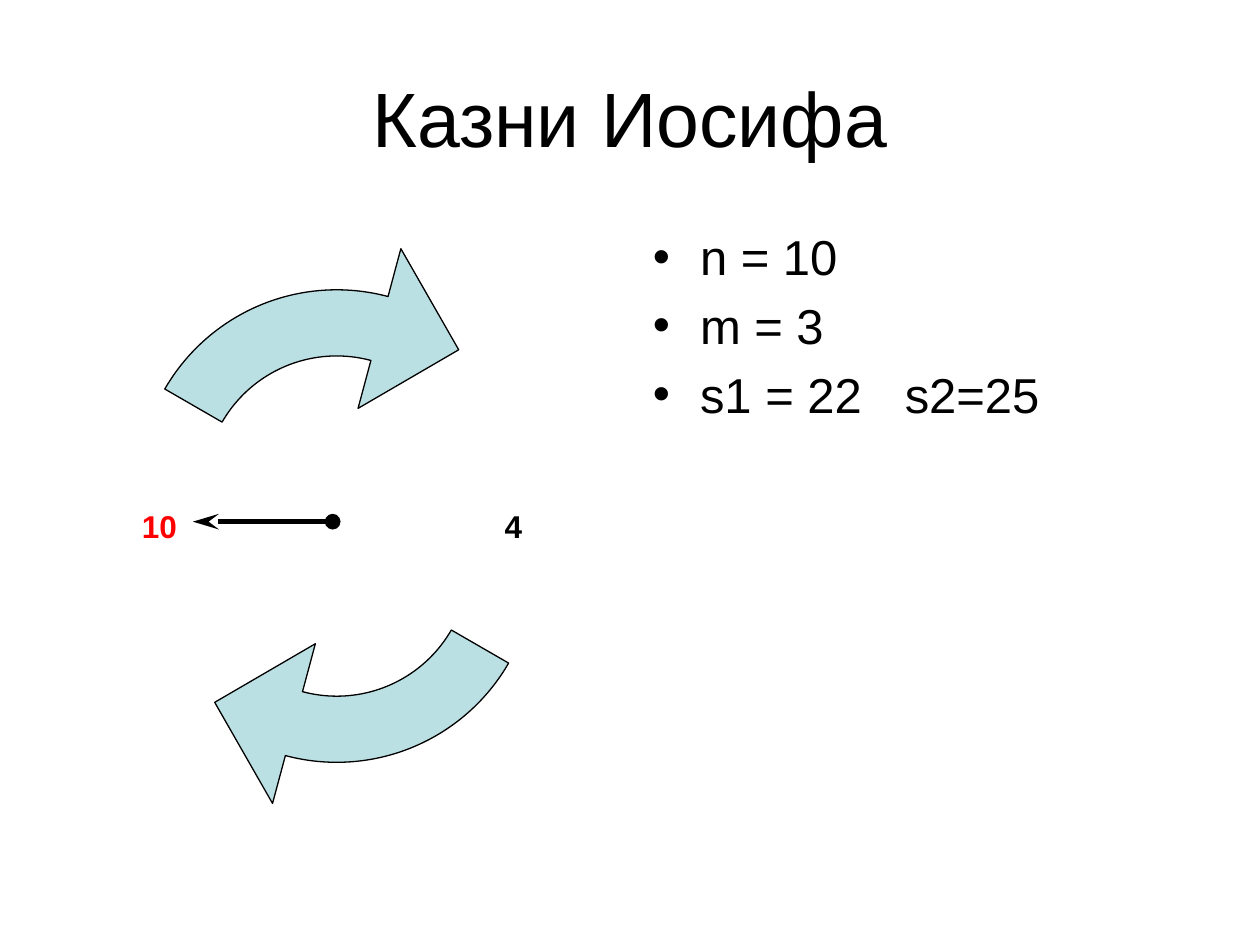
from dataclasses import dataclass
from math import cos, radians, sin, tan

from lxml import etree
from pptx import Presentation
from pptx import util as u
from pptx.dml.color import RGBColor
from pptx.enum import shapes, text
from pptx.oxml.ns import qn


@dataclass(frozen=True)
class Theme:
    font: str = "Arial"
    ink: str = "000000"
    accent: str = "FF0000"
    fill: str = "BBE0E3"
    title: float = 44
    body: float = 28
    label: float = 18


def write(p, content, theme, size, color=None, bold=False, align=None):
    r = p.add_run()
    r.text = content
    r.font.name = theme.font
    r.font.size = u.Pt(size)
    r.font.bold = bold
    r.font.color.rgb = RGBColor.from_string(color or theme.ink)
    p.alignment = align


def polar(radius, angle):
    return radius * cos(radians(angle)), -radius * sin(radians(angle))


def arc(radius, start, end):
    k = 4 / 3 * tan(radians(end - start) / 4)
    (x1, y1), (x2, y2) = polar(radius, start), polar(radius, end)
    return "cubicBezTo", [(x1 + k * y1, y1 - k * x1),
                          (x2 - k * y2, y2 + k * x2), (x2, y2)]


def arrow_outline(radius, neck=75, top=90, tail=150):
    inner = radius * 2 / 3
    return [
        ("moveTo", [polar(inner, neck)]),
        arc(inner, neck, top), arc(inner, top, tail),
        ("lnTo", [polar(radius, tail)]),
        arc(radius, tail, top), arc(radius, top, neck),
        ("lnTo", [polar(radius * 1.25, neck)]),
        ("lnTo", [polar(radius * 0.93, 48.6)]),
        ("lnTo", [polar(radius * 5 / 12, neck)]),
        ("lnTo", [polar(inner, neck)]),
        ("close", []),
    ]


class Builder:
    """Draw styled elements on the current slide."""

    def __init__(self, prs, theme):
        self.theme = theme
        self.slide = prs.slides.add_slide(prs.slide_layouts[1])

    def place(self, sp, x, y, w, h):
        sp.left, sp.top, sp.width, sp.height = map(u.Pt, (x, y, w, h))
        tf = sp.text_frame
        tf.auto_size = text.MSO_AUTO_SIZE.NONE
        return tf

    def title(self, content, *box):
        tf = self.place(self.slide.shapes.title, *box)
        tf.vertical_anchor = text.MSO_ANCHOR.MIDDLE
        write(tf.paragraphs[0], content, self.theme, self.theme.title,
              align=text.PP_ALIGN.CENTER)

    def bullets(self, items, *box, indent=27, gap=5.6, tab=144):
        tf = self.place(self.slide.placeholders[1], *box)
        for i, item in enumerate(items):
            p = tf.add_paragraph() if i else tf.paragraphs[0]
            p.space_before = u.Pt(gap if i else 0)
            pPr = p._p.get_or_add_pPr()
            pPr.set("marL", str(u.Pt(indent)))
            pPr.set("indent", str(-u.Pt(indent)))
            etree.SubElement(pPr, qn("a:buChar"), char="•")
            if "\t" in item:
                tabs = etree.SubElement(pPr, qn("a:tabLst"))
                etree.SubElement(tabs, qn("a:tab"), pos=str(u.Pt(tab)), algn="l")
            write(p, item, self.theme, self.theme.body)

    def arc_arrow(self, cx, cy, radius, turn=0):
        x1, x2, y1, y2 = map(u.Pt, (cx - radius, cx + radius,
                                    cy - radius, cy + radius))
        fb = self.slide.shapes.build_freeform(x1, y1, scale=1.0)
        fb.add_line_segments([(x2, y1), (x2, y2), (x1, y2)], close=True)
        sp = fb.convert_to_shape()
        path = next(sp._element.iter(qn("a:path")))
        for step in list(path):
            path.remove(step)
        for kind, points in arrow_outline(radius):
            step = etree.SubElement(path, qn(f"a:{kind}"))
            for x, y in points:
                etree.SubElement(step, qn("a:pt"), x=str(u.Pt(radius + x)),
                                 y=str(u.Pt(radius + y)))
        sp.rotation = turn
        sp.shadow.inherit = False
        sp.fill.solid()
        sp.fill.fore_color.rgb = RGBColor.from_string(self.theme.fill)
        sp.line.color.rgb = RGBColor.from_string(self.theme.ink)
        sp.line.width = u.Pt(0.75)

    def label(self, content, cx, cy, color=None, side=101.5):
        sp = self.slide.shapes.add_textbox(0, 0, 0, 0)
        tf = self.place(sp, cx - side / 2, cy - side / 2, side, side)
        tf.margin_left = tf.margin_right = tf.margin_top = tf.margin_bottom = 0
        tf.word_wrap = False
        tf.vertical_anchor = text.MSO_ANCHOR.MIDDLE
        write(tf.paragraphs[0], content, self.theme, self.theme.label, color,
              bold=True, align=text.PP_ALIGN.CENTER)

    def pointer(self, x1, y1, x2, y2):
        cxn = self.slide.shapes.add_connector(
            shapes.MSO_CONNECTOR.STRAIGHT, *map(u.Pt, (x1, y1, x2, y2)))
        cxn.line.color.rgb = RGBColor.from_string(self.theme.ink)
        cxn.line.width = u.Pt(3)
        ln = cxn.line._get_or_add_ln()
        etree.SubElement(ln, qn("a:headEnd"), type="oval")
        etree.SubElement(ln, qn("a:tailEnd"), type="stealth", len="lg")
        etree.SubElement(cxn._element.spPr, qn("a:effectLst"))


def main():
    prs = Presentation()
    prs.slide_width, prs.slide_height = u.Pt(720), u.Pt(540)
    theme = Theme()
    s = Builder(prs, theme)
    s.title("Казни Иосифа", 36, 21.6, 648, 90)
    s.bullets(["n = 10", "m = 3", "s1 = 22\ts2=25"], 365.8, 126, 318.2, 356.4)
    for cy, turn in ((279, 0), (322.2, 180)):
        s.arc_arrow(192.4, cy, 113.4, turn)
    s.label("4", 293.4, 300.6)
    s.label("10", 91.1, 300.6, theme.accent)
    s.pointer(190.1, 298.1, 110.2, 298.1)
    prs.save("out.pptx")


if __name__ == "__main__":
    main()
